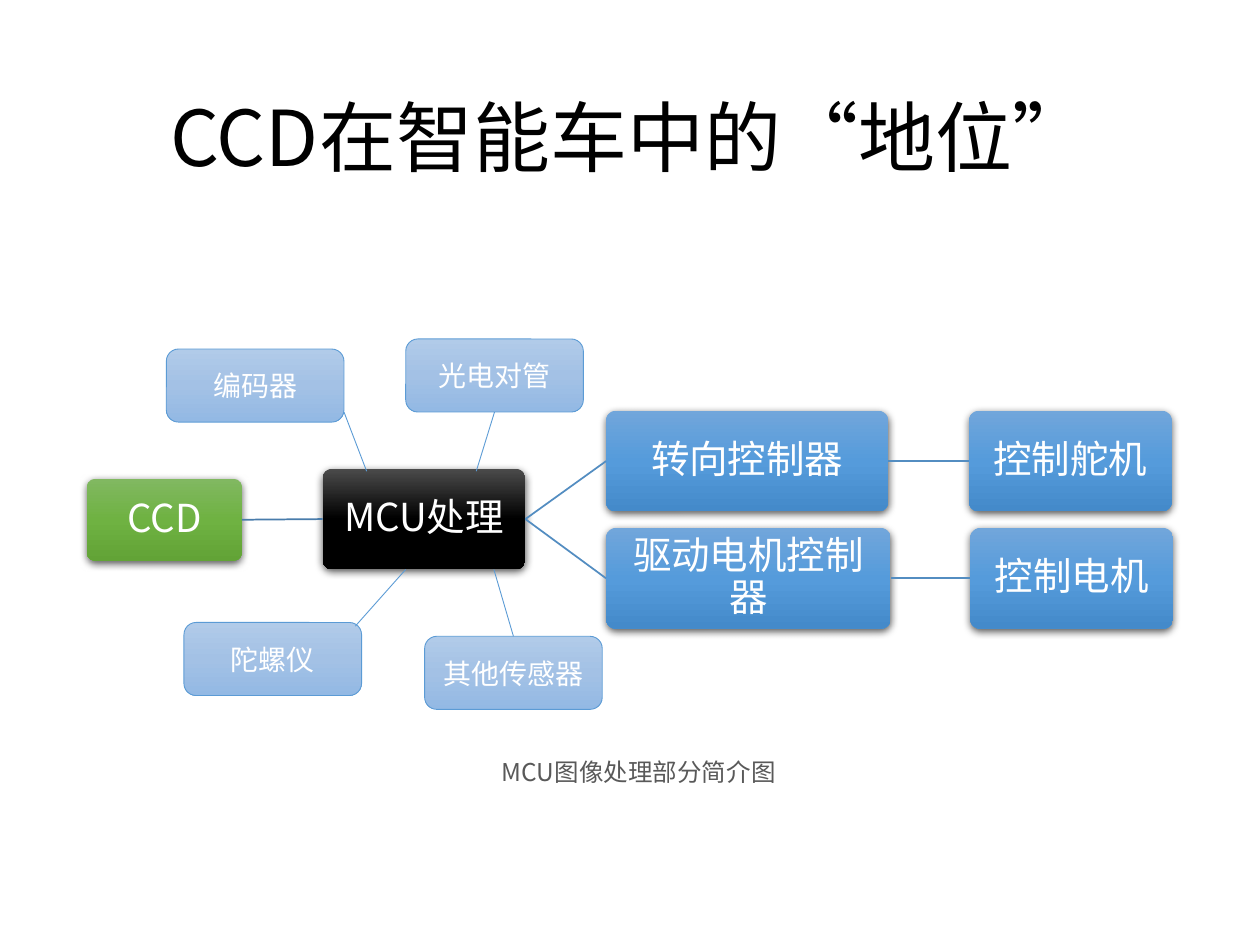
from lxml import etree
from pptx import Presentation
from pptx.dml.color import RGBColor
from pptx.enum.shapes import MSO_CONNECTOR, MSO_SHAPE
from pptx.enum.text import MSO_ANCHOR, PP_ALIGN
from pptx.oxml import parse_xml
from pptx.oxml.ns import nsdecls, qn
from pptx.util import Inches, Pt

FONT = "Noto Sans CJK SC"
COLORS = {
    "title": "000000",
    "box_text": "FFFFFF",
    "caption": "595959",
    "input_line": "497CAB",
    "output_line": "538DC1",
    "sensor_line": "5B9BD5",
}
GRADIENTS = {
    "green": ("81B861", "6FB242", "62A336"),
    "black": ("4B4B4B", "000000", "000000"),
    "blue": ("71A6DB", "559BDB", "448ACA"),
    "pale": ("B1CBE9", "A3C1E5", "93B9E4"),
}
TOP, LEFT, BOTTOM, RIGHT = range(4)

# name: (text, left, top, width, height, gradient)
STAGES = {
    "ccd": ("CCD", 0.69, 3.8, 1.23, 0.65, "green"),
    "mcu": ("MCU处理", 2.56, 3.72, 1.61, 0.8, "black"),
    "steering": ("转向控制器", 4.81, 3.26, 2.24, 0.8, "blue"),
    "servo": ("控制舵机", 7.69, 3.26, 1.61, 0.8, "blue"),
    "drive": ("驱动电机控制器", 4.81, 4.19, 2.26, 0.8, "blue"),
    "motor": ("控制电机", 7.7, 4.19, 1.61, 0.8, "blue"),
}
STAGE_LINKS = [
    ("ccd", "mcu", "input_line"),
    ("mcu", "steering", "output_line"),
    ("steering", "servo", "output_line"),
    ("mcu", "drive", "output_line"),
    ("drive", "motor", "output_line"),
]
# text, left, top, line start, line end, joined side
SENSORS = [
    ("编码器", 1.32, 2.77, (2.73, 3.27), (2.91, 3.74), None),
    ("陀螺仪", 1.46, 4.94, (2.82, 4.97), (3.22, 4.52), None),
    ("光电对管", 3.22, 2.69, (3.92, 3.27), (3.78, 3.74), BOTTOM),
    ("其他传感器", 3.37, 5.05, (4.07, 5.05), (3.92, 4.52), TOP),
]


def write_text(shape, text, size, color, line_spacing=None):
    """Put one centred paragraph into a shape."""
    shape.text_frame.text = text
    paragraph = shape.text_frame.paragraphs[0]
    paragraph.alignment = PP_ALIGN.CENTER
    paragraph.line_spacing = line_spacing
    font = paragraph.font
    font.size = Pt(size)
    font.color.rgb = RGBColor.from_string(COLORS[color])
    font.name = FONT
    etree.SubElement(font._rPr, qn("a:ea"), typeface=FONT)


def fill_gradient(shape, colors):
    """Fill from top to bottom with three evenly spaced colours."""
    stops = "".join(
        f'<a:gs pos="{index * 50000}"><a:srgbClr val="{color}"/></a:gs>'
        for index, color in enumerate(colors)
    )
    shape._element.spPr.find(qn("a:prstGeom")).addnext(parse_xml(
        f'<a:gradFill {nsdecls("a")}><a:gsLst>{stops}</a:gsLst>'
        '<a:lin ang="5400000" scaled="0"/></a:gradFill>'
    ))


def add_shadow(shape):
    shape._element.spPr.find(qn("a:effectLst")).append(parse_xml(
        f'<a:outerShdw {nsdecls("a")} blurRad="57150" dist="19050" '
        'dir="5400000" algn="ctr" rotWithShape="0"><a:srgbClr val="000000">'
        '<a:alpha val="63000"/></a:srgbClr></a:outerShdw>'
    ))


def add_box(slide, left, top, width, height, gradient):
    shape = slide.shapes.add_shape(
        MSO_SHAPE.ROUNDED_RECTANGLE,
        Inches(left), Inches(top), Inches(width), Inches(height))
    fill_gradient(shape, GRADIENTS[gradient])
    shape.shadow.inherit = False
    shape.text_frame.vertical_anchor = MSO_ANCHOR.MIDDLE
    shape.text_frame.word_wrap = True
    return shape


def add_stage(slide, text, left, top, width, height, gradient):
    shape = add_box(slide, left, top, width, height, gradient)
    shape.adjustments[0] = 0.1
    shape.line.fill.background()
    add_shadow(shape)
    frame = shape.text_frame
    frame.margin_left = frame.margin_right = Inches(0.04)
    frame.margin_top = frame.margin_bottom = Inches(0.04)
    write_text(shape, text, 22, "box_text", 0.9)
    return shape


def add_line(slide, color, width, start=(0, 0), end=(0, 0)):
    line = slide.shapes.add_connector(
        MSO_CONNECTOR.STRAIGHT, *map(Inches, (*start, *end)))
    line.line.color.rgb = RGBColor.from_string(COLORS[color])
    line.line.width = Pt(width)
    etree.SubElement(line._element.spPr, qn("a:effectLst"))
    return line


def add_sensor(slide, text, left, top, start, end, side):
    shape = add_box(slide, left, top, 1.41, 0.58, "pale")
    shape.line.color.rgb = RGBColor.from_string(COLORS["sensor_line"])
    shape.line.width = Pt(0.5)
    write_text(shape, text, 16, "box_text")
    line = add_line(slide, "sensor_line", 0.5, start, end)
    if side is not None:
        line.begin_connect(shape, side)


def add_title(slide, text):
    title = slide.shapes.title
    title.left, title.top = Inches(0.69), Inches(0.4)
    title.width, title.height = Inches(8.62), Inches(1.45)
    title.text_frame.vertical_anchor = MSO_ANCHOR.MIDDLE
    write_text(title, text, 44, "title", 0.9)


def add_caption(slide, text):
    caption = slide.shapes.add_textbox(
        Inches(3.85), Inches(5.96), Inches(2.44), Inches(0.34))
    caption.text_frame.word_wrap = False
    write_text(caption, text, 14, "caption")


def main():
    presentation = Presentation()
    presentation.slide_width = Inches(10)
    presentation.slide_height = Inches(7.5)
    slide = presentation.slides.add_slide(presentation.slide_layouts[5])

    add_title(slide, "CCD在智能车中的“地位”")
    stages = {name: add_stage(slide, *stage) for name, stage in STAGES.items()}
    for source, target, color in STAGE_LINKS:
        link = add_line(slide, color, 1)
        link.begin_connect(stages[source], RIGHT)
        link.end_connect(stages[target], LEFT)
    add_caption(slide, "MCU图像处理部分简介图")
    for sensor in SENSORS:
        add_sensor(slide, *sensor)

    presentation.save("out.pptx")


if __name__ == "__main__":
    main()
